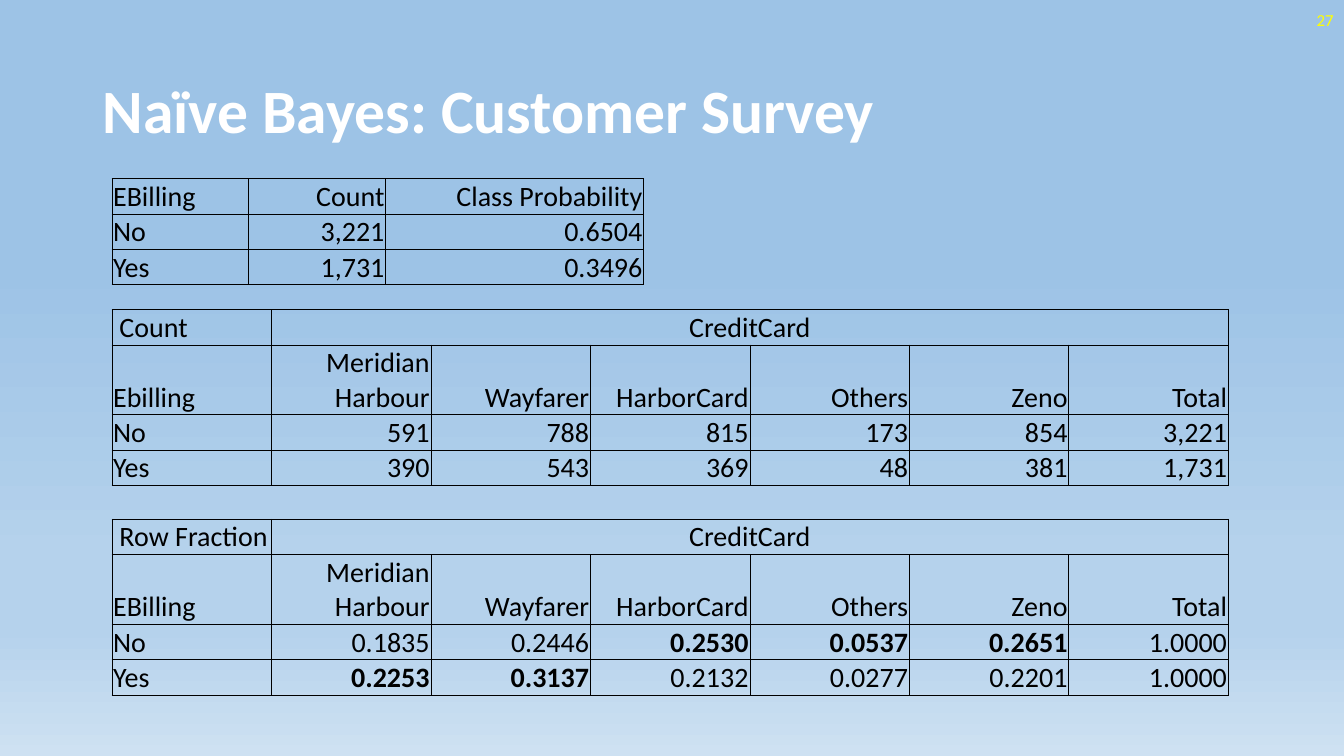
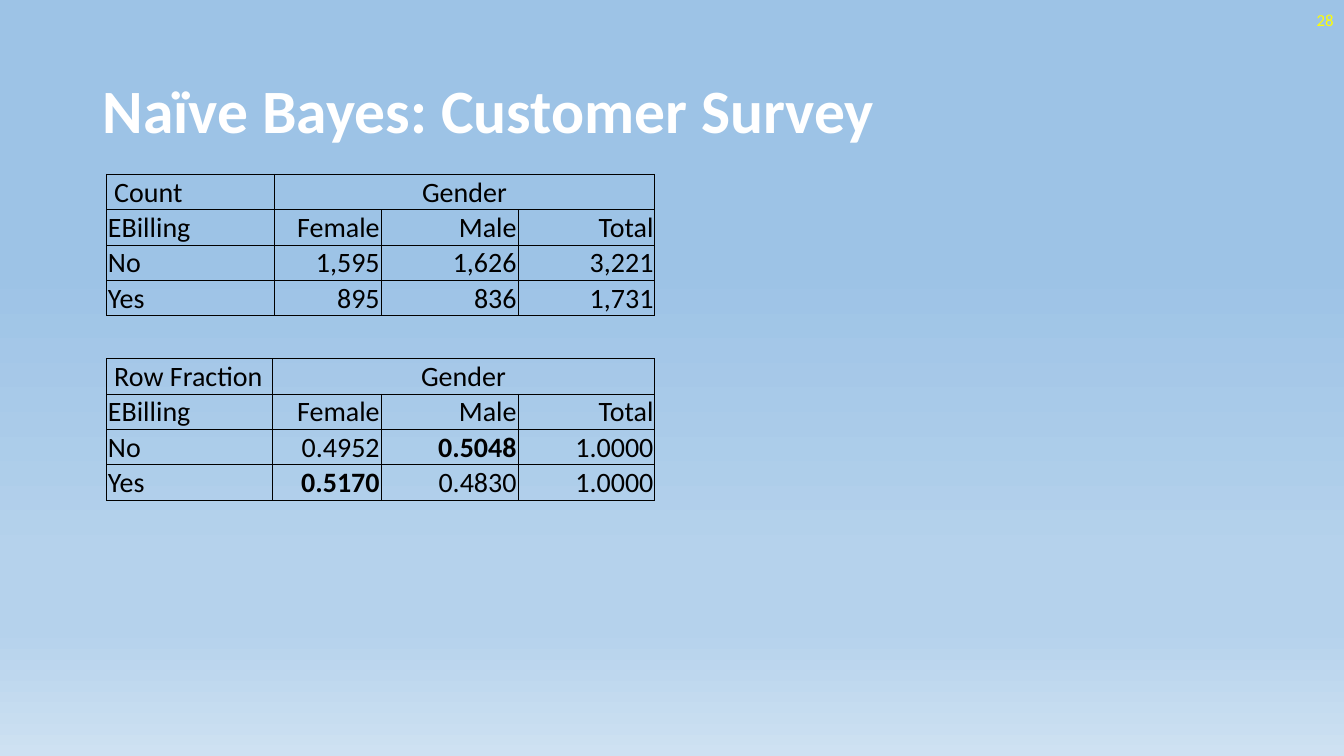
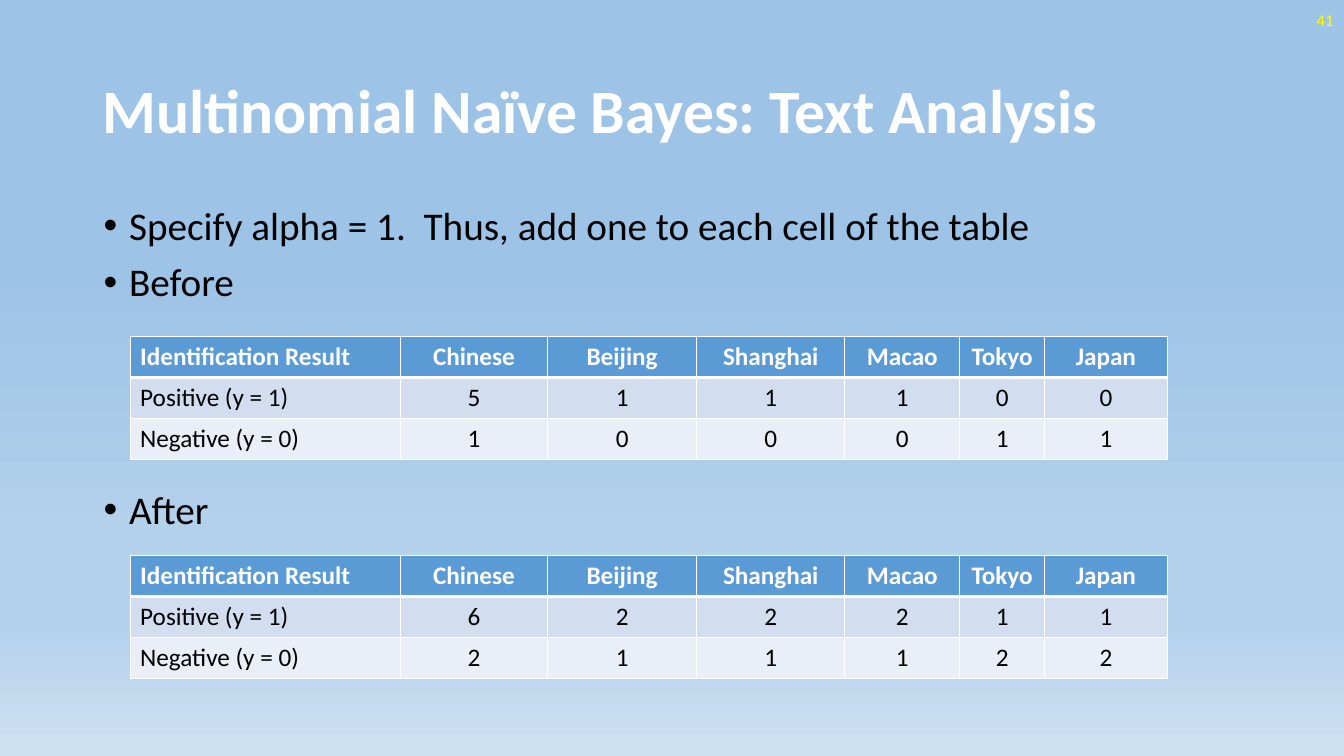
"""Build three slides of naïve Bayes tables on a shared blue gradient."""
from lxml.etree import SubElement
from pptx import Presentation
from pptx.dml.color import RGBColor
from pptx.enum.text import MSO_ANCHOR as Anchor, MSO_AUTO_SIZE as AutoSize, PP_ALIGN as Align
from pptx.oxml.ns import qn
from pptx.util import Cm, Pt

FONT = "Calibri"
WHITE = RGBColor(0xFF, 0xFF, 0xFF)
BLACK = RGBColor(0x00, 0x00, 0x00)
YELLOW = RGBColor(0xFF, 0xFF, 0x00)
HEADER_BLUE = RGBColor(0x5B, 0x9B, 0xD5)
BAND_DARK = RGBColor(0xD2, 0xDE, 0xEF)
BAND_LIGHT = RGBColor(0xEA, 0xEF, 0xF7)
SKY = RGBColor(0x9D, 0xC3, 0xE6)
HAZE = RGBColor(0xB5, 0xD2, 0xEC)
MIST = RGBColor(0xCE, 0xE1, 0xF2)
GRADIENT = [(35, SKY), (74, HAZE), (83, HAZE), (100, MIST)]

TITLE_AREA = (2.34, 1.02, 29.21, 3.68)
BODY_AREA = (2.36, 5.08, 29.21, 12.09)
NUMBER_AREA = (26.24, 0, 7.62, 1.02)
TITLE_ONLY, TITLE_AND_BODY = 5, 1

SURVEY_TITLE = "Naïve Bayes: Customer Survey"
CARDS = ["Meridian Harbour", "Wayfarer", "HarborCard", "Others", "Zeno", "Total"]
CARD_COLUMNS = [4.02] * 7
CARD_ROWS = [0.89, 1.76, 0.89, 0.89]
PLAIN_ROW = 0.89

SURVEY_SLIDES = [
    ("27", [
        dict(left=2.82, top=4.5, columns=[3.45, 3.45, 6.5], heights=[PLAIN_ROW] * 3, rows=[
            ["EBilling", "Count", "Class Probability"],
            ["No", "3,221", "0.6504"],
            ["Yes", "1,731", "0.3496"]]),
        dict(left=2.82, top=7.8, columns=CARD_COLUMNS, heights=CARD_ROWS, rows=[
            [" Count", "CreditCard"],
            ["Ebilling", *CARDS],
            ["No", "591", "788", "815", "173", "854", "3,221"],
            ["Yes", "390", "543", "369", "48", "381", "1,731"]]),
        dict(left=2.82, top=13.08, columns=CARD_COLUMNS, heights=CARD_ROWS, rows=[
            [" Row Fraction", "CreditCard"],
            ["EBilling", *CARDS],
            ["No", "0.1835", "0.2446", "0.2530", "0.0537", "0.2651", "1.0000"],
            ["Yes", "0.2253", "0.3137", "0.2132", "0.0277", "0.2201", "1.0000"]],
            bold={"0.2530", "0.0537", "0.2651", "0.2253", "0.3137"}),
    ]),
    ("28", [
        dict(left=2.69, top=4.39, columns=[4.22, 2.69, 3.45, 3.45], heights=[PLAIN_ROW] * 4, rows=[
            [" Count", "Gender"],
            ["EBilling", "Female", "Male", "Total"],
            ["No", "1,595", "1,626", "3,221"],
            ["Yes", "895", "836", "1,731"]]),
        dict(left=2.69, top=9.04, columns=[4.17, 2.74, 3.45, 3.45], heights=[PLAIN_ROW] * 4, rows=[
            [" Row Fraction", "Gender"],
            ["EBilling", "Female", "Male", "Total"],
            ["No", "0.4952", "0.5048", "1.0000"],
            ["Yes", "0.5170", "0.4830", "1.0000"]],
            bold={"0.5048", "0.5170"}),
    ]),
]

TEXT_TITLE = "Multinomial Naïve Bayes: Text Analysis"
BULLETS = [
    ("Specify alpha = 1.  Thus, add one to each cell of the table", 0),
    ("Before", 10),
    ("After", 132),
]
WORDS = ["Identification Result", "Chinese", "Beijing", "Shanghai", "Macao", "Tokyo", "Japan"]
WORD_COUNTS = [
    ("Positive (y = 1)", [5, 1, 1, 1, 0, 0]),
    ("Negative (y = 0)", [1, 0, 0, 0, 1, 1]),
]
WORD_COLUMNS = [6.81, 3.71, 3.76, 3.73, 2.9, 2.13, 3.1]
WORD_TABLES = [(8.48, 0), (14, 1)]


def write(para, text, size=20, color=BLACK, bold=False, align=Align.LEFT, line=1.0, before=0):
    span = para.add_run()
    span.text = text
    span.font.name, span.font.size, span.font.bold = FONT, Pt(size), bold
    span.font.color.rgb = color
    para.alignment, para.line_spacing, para.space_before = align, line, Pt(before)


def place(box, area):
    box.left, box.top, box.width, box.height = map(Cm, area)


def style_master(master):
    fill = master.background.fill
    fill.gradient()
    fill.gradient_angle = 270
    stops = master.element.find(".//" + qn("a:gsLst"))
    for stop in list(stops):
        stops.remove(stop)
    for position, color in GRADIENT:
        stop = SubElement(stops, qn("a:gs"), pos=str(position * 1000))
        SubElement(stop, qn("a:srgbClr"), val=str(color))
    place(master.placeholders[0], TITLE_AREA)
    place(master.placeholders[1], BODY_AREA)


def add_page(deck, layout, title, number):
    page = deck.slides.add_slide(deck.slide_layouts[layout])
    frame = page.shapes.title.text_frame
    frame.auto_size = AutoSize.NONE
    frame.vertical_anchor = Anchor.MIDDLE
    write(frame.paragraphs[0], title, size=44, color=WHITE, bold=True, line=0.9)
    frame = page.shapes.add_textbox(*map(Cm, NUMBER_AREA)).text_frame
    frame.word_wrap = True
    frame.vertical_anchor = Anchor.MIDDLE
    write(frame.paragraphs[0], number, size=12, color=YELLOW, align=Align.RIGHT)
    return page


def add_grid(page, left, top, columns, heights):
    holder = page.shapes.add_table(len(heights), len(columns), Cm(left), Cm(top),
                                   Cm(sum(columns)), Cm(sum(heights)))
    grid = holder.table
    grid.first_row = grid.horz_banding = False
    for column, width in zip(grid.columns, columns):
        column.width = Cm(width)
    for row, height in zip(grid.rows, heights):
        row.height = Cm(height)
    return grid


def set_borders(cell, color, width, **special):
    properties = cell._tc.get_or_add_tcPr()
    for side in ("lnL", "lnR", "lnT", "lnB"):
        line = SubElement(properties, qn("a:" + side), w=str(Pt(special.get(side, width))))
        SubElement(SubElement(line, qn("a:solidFill")), qn("a:srgbClr"), val=str(color))


def add_survey_table(page, left, top, columns, heights, rows, bold=()):
    grid = add_grid(page, left, top, columns, heights)
    for cell in grid.iter_cells():
        set_borders(cell, BLACK, 0.5)
        cell.fill.background()
        cell.vertical_anchor = Anchor.BOTTOM
        cell.margin_left = cell.margin_right = cell.margin_top = Cm(0.03)
        cell.margin_bottom = 0
    for row_index, texts in enumerate(rows):
        spanning = len(texts) < len(columns)
        if spanning:
            grid.cell(row_index, 1).merge(grid.cell(row_index, len(columns) - 1))
        for column_index, text in enumerate(texts):
            value_align = Align.CENTER if spanning else Align.RIGHT
            write(grid.cell(row_index, column_index).text_frame.paragraphs[0], text,
                  bold=text in bold, align=value_align if column_index else Align.LEFT)


def add_word_table(page, top, alpha):
    rows = [WORDS] + [[label, *(str(count + alpha) for count in counts)]
                      for label, counts in WORD_COUNTS]
    grid = add_grid(page, 3.28, top, WORD_COLUMNS, [1.03] * len(rows))
    for row_index, (texts, band) in enumerate(zip(rows, (HEADER_BLUE, BAND_DARK, BAND_LIGHT))):
        header = row_index == 0
        for column_index, text in enumerate(texts):
            cell = grid.cell(row_index, column_index)
            set_borders(cell, WHITE, 1, **{"lnB": 3} if header else {"lnT": 3 if row_index == 1 else 1})
            cell.fill.solid()
            cell.fill.fore_color.rgb = band
            cell.vertical_anchor = Anchor.MIDDLE
            write(cell.text_frame.paragraphs[0], text, size=18, color=WHITE if header else BLACK,
                  bold=header, align=Align.CENTER if column_index else Align.LEFT)


def add_bullets(frame):
    frame.auto_size = AutoSize.NONE
    for index, (text, before) in enumerate(BULLETS):
        para = frame.add_paragraph() if index else frame.paragraphs[0]
        properties = para._p.get_or_add_pPr()
        properties.set("marL", str(Cm(0.64)))
        properties.set("indent", str(-Cm(0.64)))
        SubElement(properties, qn("a:buFont"), typeface="Arial")
        SubElement(properties, qn("a:buChar"), char="•")
        write(para, text, size=28, line=0.9, before=before)


def main():
    deck = Presentation()
    deck.slide_width, deck.slide_height = Cm(33.87), Cm(19.05)
    style_master(deck.slide_master)
    for number, tables in SURVEY_SLIDES:
        page = add_page(deck, TITLE_ONLY, SURVEY_TITLE, number)
        for table in tables:
            add_survey_table(page, **table)
    page = add_page(deck, TITLE_AND_BODY, TEXT_TITLE, "41")
    add_bullets(page.placeholders[1].text_frame)
    for top, alpha in WORD_TABLES:
        add_word_table(page, top, alpha)
    deck.save("out.pptx")


if __name__ == "__main__":
    main()
